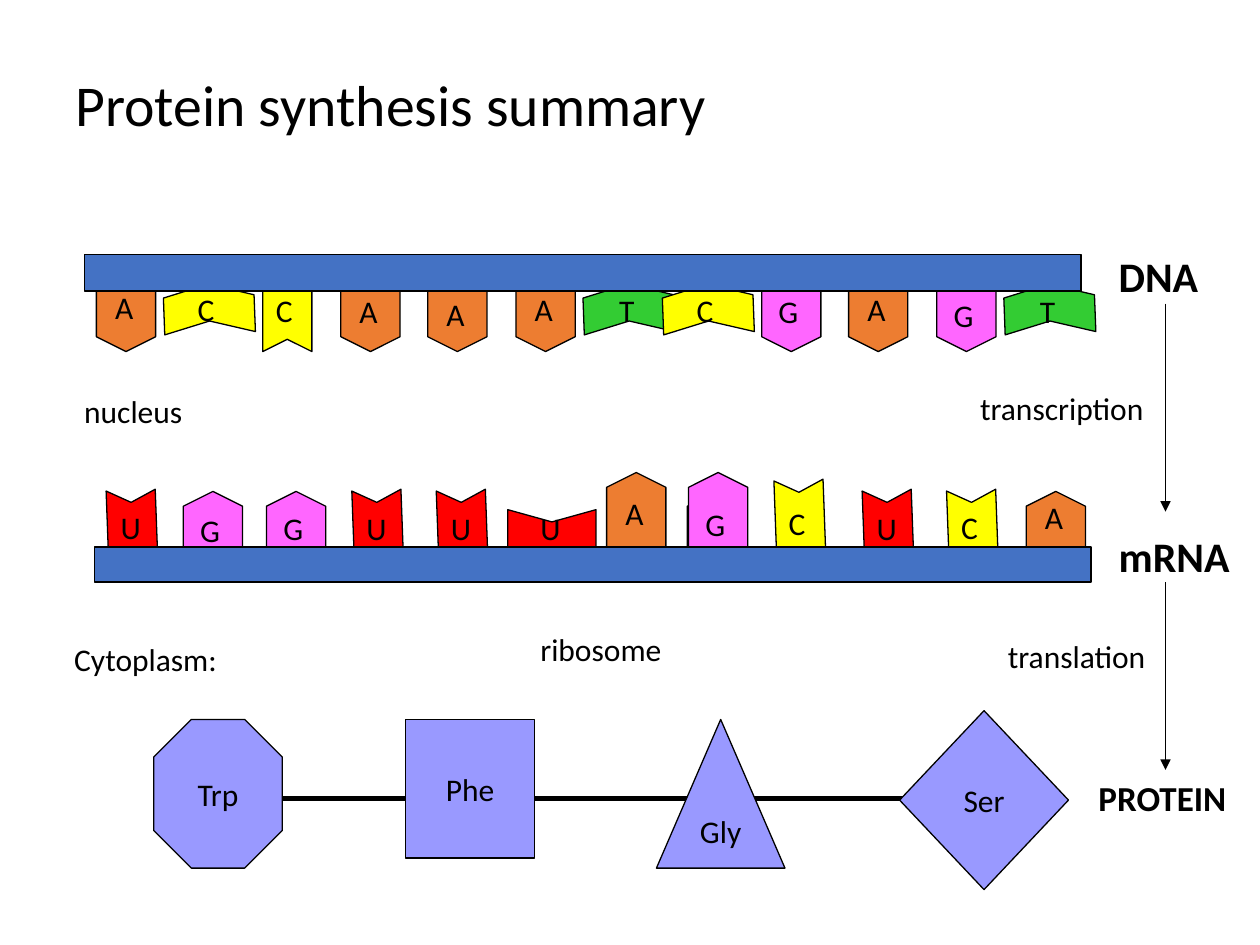
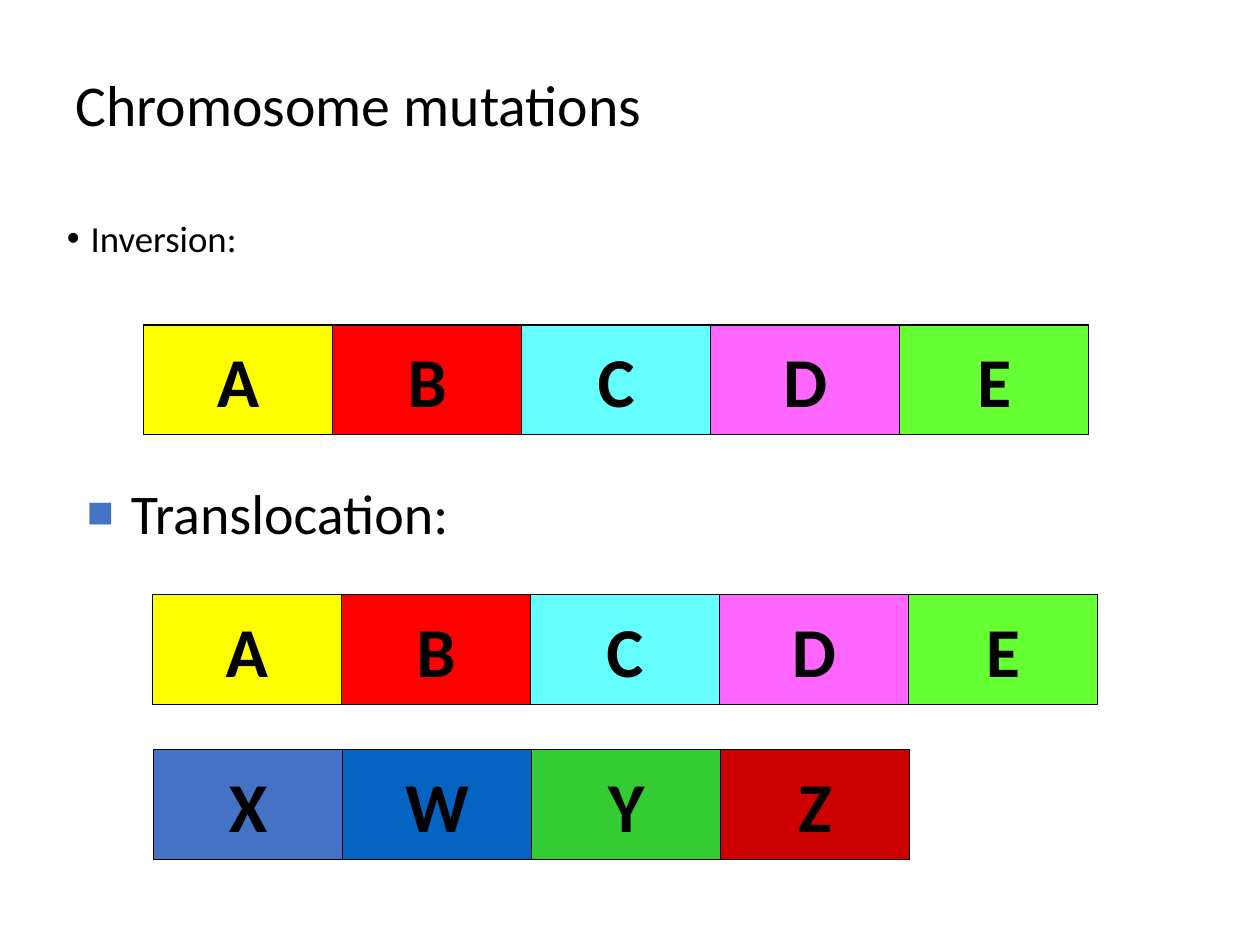
"""Build two biology slides: protein synthesis and chromosome mutations."""
from dataclasses import dataclass
from typing import Optional

from lxml.etree import SubElement
from pptx import Presentation
from pptx.dml.color import RGBColor
from pptx.enum.shapes import MSO_CONNECTOR, MSO_SHAPE as SHAPE
from pptx.enum.text import MSO_ANCHOR, MSO_AUTO_SIZE as FIT, PP_ALIGN
from pptx.oxml.ns import qn
from pptx.util import Emu, Inches, Pt

COLUMNS, ROWS = 10, 7.5
SLIDE_W, SLIDE_H = Inches(10), Inches(7.5)
FONT = "Calibri"

BLACK = RGBColor(0x00, 0x00, 0x00)
BLUE = RGBColor(0x44, 0x72, 0xC4)
DEEP_BLUE = RGBColor(0x05, 0x63, 0xC1)
ORANGE = RGBColor(0xED, 0x7D, 0x31)
YELLOW = RGBColor(0xFF, 0xFF, 0x00)
GREEN = RGBColor(0x33, 0xCC, 0x33)
LIME = RGBColor(0x66, 0xFF, 0x33)
PINK = RGBColor(0xFF, 0x66, 0xFF)
RED = RGBColor(0xFF, 0x00, 0x00)
DARK_RED = RGBColor(0xCC, 0x00, 0x00)
CYAN = RGBColor(0x66, 0xFF, 0xFF)
LILAC = RGBColor(0x99, 0x99, 0xFF)

BASE_COLOURS = {"A": ORANGE, "C": YELLOW, "G": PINK, "T": GREEN, "U": RED}
LABEL_WIDTHS = {"A": 0.37, "C": 0.38, "G": 0.4, "T": 0.35, "U": 0.38}
GENE_COLOURS = {"A": YELLOW, "B": RED, "C": CYAN, "D": PINK, "E": LIME,
                "X": BLUE, "W": DEEP_BLUE, "Y": GREEN, "Z": DARK_RED}
PURINES = "AG"
TILT = -2.1


@dataclass(frozen=True)
class Box:
    """A rectangle in grid columns and rows."""
    left: float
    top: float
    width: float
    height: float

    def emu(self) -> tuple[Emu, Emu, Emu, Emu]:
        """Return the rectangle in EMU."""
        return col(self.left), row(self.top), col(self.width), row(self.height)


@dataclass(frozen=True)
class Base:
    """One nucleotide of a strand, placed by its centre."""
    letter: str
    x: float
    y: float
    label_top: Optional[float]
    wide: bool = False
    tilt: float = 0


@dataclass(frozen=True)
class Strand:
    """A backbone and the bases that hang from it or stand on it."""
    backbone: Box
    turn: float
    length: float
    bases: tuple[Base, ...]


@dataclass(frozen=True)
class Label:
    """A free line of text."""
    text: str
    box: Box
    size: float = 18
    bold: bool = False


@dataclass(frozen=True)
class AminoAcid:
    """A shape of the protein chain."""
    name: str
    kind: SHAPE
    box: Box


@dataclass(frozen=True)
class Chromosome:
    """A row of genes that touch."""
    genes: str
    left: float
    top: float


@dataclass(frozen=True)
class Bullet:
    """A bullet with its indent, and optionally its colour and size."""
    char: str
    indent: float
    hang: float
    colour: Optional[RGBColor] = None
    percent: int = 100


DNA = Strand(Box(0.67, 2.02, 7.91, 0.29), 90, 0.72, (
    Base("A", 1.0, 2.43, 2.24),
    Base("C", 1.66, 2.45, 2.25, True, TILT),
    Base("C", 2.28, 2.43, 2.26),
    Base("A", 2.94, 2.43, 2.27),
    Base("A", 3.63, 2.43, 2.29),
    Base("A", 4.33, 2.43, 2.25),
    Base("T", 4.99, 2.45, 2.26, True, TILT),
    Base("C", 5.62, 2.45, 2.26, True, TILT),
    Base("G", 6.28, 2.43, 2.27),
    Base("A", 6.97, 2.43, 2.25),
    Base("G", 7.67, 2.43, 2.3),
    Base("T", 8.33, 2.45, 2.27, True, TILT),
))
MRNA = Strand(Box(0.75, 4.34, 7.91, 0.28), 270, 0.7, (
    Base("U", 1.05, 4.24, 3.98, tilt=TILT),
    Base("G", 1.69, 4.25, 4.01),
    Base("G", 2.35, 4.25, 3.99),
    Base("U", 3.0, 4.24, 3.99, tilt=TILT),
    Base("U", 3.67, 4.24, 3.99, tilt=TILT),
    Base("U", 4.38, 4.24, 3.99, True),
    Base("A", 5.05, 4.1, 3.87),
    Base("G", 5.69, 4.25, None),
    Base("G", 5.7, 4.1, 3.96),
    Base("C", 6.35, 4.16, 3.95, tilt=TILT),
    Base("U", 7.05, 4.24, 3.99, tilt=TILT),
    Base("C", 7.72, 4.24, 3.98, tilt=TILT),
    Base("A", 8.38, 4.25, 3.9),
))
LABELS = (
    Label("DNA", Box(8.78, 1.94, 0.93, 0.5), 24, True),
    Label("mRNA", Box(8.78, 4.16, 1.22, 0.5), 24, True),
    Label("PROTEIN", Box(8.62, 6.11, 1.44, 0.43), 20, True),
    Label("nucleus", Box(0.57, 3.06, 1.06, 0.4)),
    Label("transcription", Box(7.68, 3.04, 1.56, 0.4)),
    Label("Cytoplasm:", Box(0.49, 5.03, 1.45, 0.4)),
    Label("ribosome", Box(4.19, 4.95, 1.23, 0.4)),
    Label("translation", Box(7.9, 5.01, 1.35, 0.4)),
)
PROTEIN = (
    AminoAcid("Trp", SHAPE.OCTAGON, Box(1.22, 5.71, 1.02, 1.18)),
    AminoAcid("Phe", SHAPE.RECTANGLE, Box(3.22, 5.71, 1.02, 1.1)),
    AminoAcid("Gly", SHAPE.ISOSCELES_TRIANGLE, Box(5.21, 5.71, 1.02, 1.18)),
    AminoAcid("Ser", SHAPE.DIAMOND, Box(7.14, 5.64, 1.34, 1.42)),
)
CHROMOSOMES = (Chromosome("ABCDE", 1.14, 2.58),
               Chromosome("ABCDE", 1.21, 4.72),
               Chromosome("XWYZ", 1.22, 5.95))
GENE_W, GENE_H = 1.5, 0.87


def col(n: float) -> Emu:
    """Convert grid columns to EMU."""
    return Emu(round(SLIDE_W * n / COLUMNS))


def row(n: float) -> Emu:
    """Convert grid rows to EMU."""
    return Emu(round(SLIDE_H * n / ROWS))


def style_text(tf, text: str, size: float, bold: bool = False):
    """Set the text of a frame, format it and return its paragraph."""
    tf.text = text
    p = tf.paragraphs[0]
    for r in p.runs:
        r.font.name, r.font.size, r.font.bold = FONT, Pt(size), bold
        r.font.color.rgb = BLACK
    return p


def add_block(slide, kind: SHAPE, box: Box, fill: RGBColor, text: str = "",
              size: float = 18, bold: bool = False):
    """Add an outlined shape with optional centred text."""
    sp = slide.shapes.add_shape(kind, *box.emu())
    sp.shadow.inherit = False
    sp.fill.solid()
    sp.fill.fore_color.rgb = fill
    sp.line.color.rgb, sp.line.width = BLACK, Pt(0.75)
    if text:
        tf = sp.text_frame
        tf.word_wrap, tf.vertical_anchor = False, MSO_ANCHOR.MIDDLE
        style_text(tf, text, size, bold).alignment = PP_ALIGN.CENTER
    return sp


def add_label(slide, label: Label) -> None:
    """Add a line of text in a box that fits it."""
    tf = slide.shapes.add_textbox(*label.box.emu()).text_frame
    tf.word_wrap, tf.auto_size = False, FIT.SHAPE_TO_FIT_TEXT
    style_text(tf, label.text, label.size, label.bold)


def add_line(slide, start: tuple[float, float], end: tuple[float, float],
             width: float, arrow: bool = False) -> None:
    """Add a straight line, with an arrowhead at its end if wanted."""
    ends = col(start[0]), row(start[1]), col(end[0]), row(end[1])
    line = slide.shapes.add_connector(MSO_CONNECTOR.STRAIGHT, *ends)
    line.line.color.rgb, line.line.width = BLACK, Pt(width)
    if arrow:
        SubElement(line.line._get_or_add_ln(), qn("a:tailEnd"), type="triangle")
    SubElement(line._element.spPr, qn("a:effectLst"))


def add_strand(slide, strand: Strand) -> None:
    """Draw the bases, the backbone over them, then the letters."""
    for base in strand.bases:
        purine = base.letter in PURINES
        w, h = strand.length, 0.47 if purine else 0.39
        if base.wide:
            w, h = h, w
        kind = SHAPE.PENTAGON if purine else SHAPE.CHEVRON
        sp = add_block(slide, kind, Box(base.x - w / 2, base.y - h / 2, w, h),
                       BASE_COLOURS[base.letter])
        sp.adjustments[0] = 0.25
        sp.rotation = (strand.turn + (0 if purine else 180) + base.tilt) % 360
    add_block(slide, SHAPE.RECTANGLE, strand.backbone, BLUE)
    for base in strand.bases:
        if base.label_top is not None:
            w = LABEL_WIDTHS[base.letter]
            add_label(slide, Label(base.letter, Box(base.x - w / 2, base.label_top, w, 0.4)))


def set_bullet(p, bullet: Bullet) -> None:
    """Give a paragraph a hanging bullet."""
    pPr = p._p.get_or_add_pPr()
    pPr.set("marL", str(col(bullet.indent)))
    pPr.set("indent", str(-col(bullet.hang)))
    if bullet.colour is not None:
        colour = SubElement(pPr, qn("a:buClr"))
        SubElement(colour, qn("a:srgbClr"), val=str(bullet.colour))
    SubElement(pPr, qn("a:buSzPct"), val=str(bullet.percent * 1000))
    SubElement(pPr, qn("a:buFont"), typeface="Arial")
    SubElement(pPr, qn("a:buChar"), char=bullet.char)


def place(sp, box: Box) -> None:
    """Move and resize a shape."""
    sp.left, sp.top, sp.width, sp.height = box.emu()


def new_slide(prs, layout: int, title: str):
    """Add a slide with the shared title style."""
    slide = prs.slides.add_slide(prs.slide_layouts[layout])
    sp = slide.shapes.title
    place(sp, Box(0.5, 0.17, 9, 1.37))
    tf = sp.text_frame
    tf.auto_size, tf.vertical_anchor = FIT.NONE, MSO_ANCHOR.MIDDLE
    p = style_text(tf, title, 33)
    p.alignment, p.line_spacing = PP_ALIGN.LEFT, 0.9
    return slide


def build_synthesis(prs) -> None:
    """Build the slide from DNA to protein."""
    slide = new_slide(prs, 5, "Protein synthesis summary")
    for strand in (DNA, MRNA):
        add_strand(slide, strand)
    add_line(slide, (1.78, 6.34), (7.77, 6.34), 3)
    for acid in PROTEIN:
        add_block(slide, acid.kind, acid.box, LILAC, acid.name)
    for label in LABELS:
        add_label(slide, label)
    for top, bottom in ((2.41, 4.06), (4.62, 6.11)):
        add_line(slide, (9.25, top), (9.25, bottom), 0.75, arrow=True)


def build_mutations(prs) -> None:
    """Build the slide of chromosome mutations."""
    slide = new_slide(prs, 1, "Chromosome mutations")
    body = slide.placeholders[1]
    place(body, Box(0.43, 1.7, 9, 0.86))
    body.text_frame.auto_size = FIT.NONE
    p = style_text(body.text_frame, "Inversion:", 21)
    p.line_spacing, p.space_before = 0.9, Pt(7.5)
    set_bullet(p, Bullet("•", 0.19, 0.19))

    tf = slide.shapes.add_textbox(*Box(0.5, 3.7, 9, 0.86).emu()).text_frame
    tf.word_wrap = True
    tf.margin_left, tf.margin_top = col(0.06), row(0.1)
    set_bullet(style_text(tf, "Translocation:", 32), Bullet("■", 0.48, 0.35, BLUE, 80))

    for chromosome in CHROMOSOMES:
        for i, gene in enumerate(chromosome.genes):
            box = Box(chromosome.left + i * GENE_W, chromosome.top, GENE_W, GENE_H)
            add_block(slide, SHAPE.RECTANGLE, box, GENE_COLOURS[gene], gene, 40, True)


def main() -> None:
    """Build and save the presentation."""
    prs = Presentation()
    prs.slide_width, prs.slide_height = SLIDE_W, SLIDE_H
    build_synthesis(prs)
    build_mutations(prs)
    prs.save("out.pptx")


if __name__ == "__main__":
    main()
